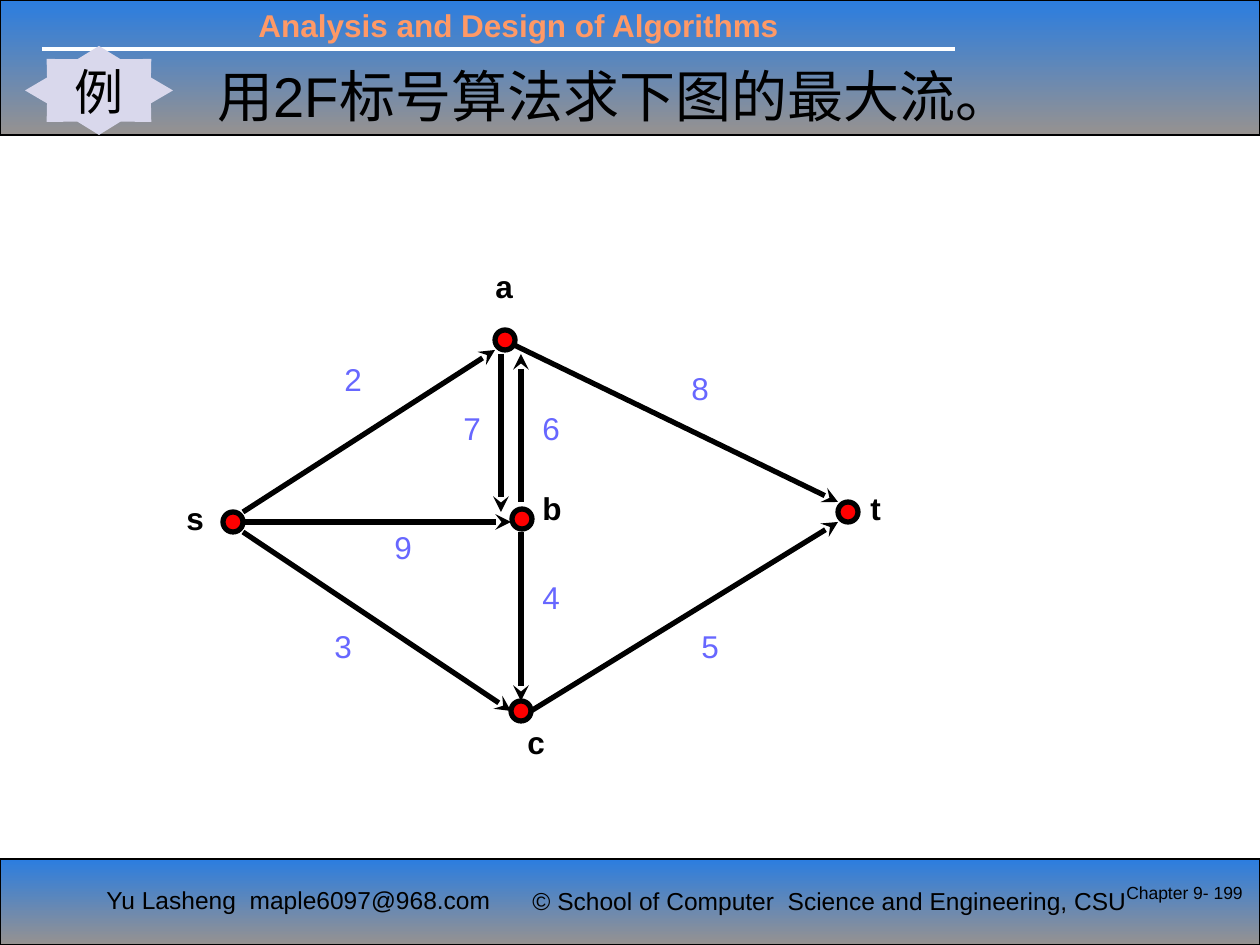
from lxml.etree import SubElement
from pptx import Presentation
from pptx.dml.color import RGBColor
from pptx.enum.shapes import MSO_CONNECTOR, MSO_SHAPE
from pptx.enum.text import MSO_ANCHOR, MSO_AUTO_SIZE, PP_ALIGN
from pptx.oxml.ns import qn
from pptx.util import Emu, Pt

BLACK = RGBColor(0x00, 0x00, 0x00)
WHITE = RGBColor(0xFF, 0xFF, 0xFF)
BLUE = RGBColor(0x2B, 0x7D, 0xE0)
GRAY = RGBColor(0x96, 0x92, 0x90)
ORANGE = RGBColor(0xFF, 0x99, 0x66)
LAVENDER = RGBColor(0xD9, 0xD8, 0xEC)
RED = RGBColor(0xFF, 0x00, 0x00)
VIOLET = RGBColor(0x67, 0x67, 0xFF)

RADIUS = 10
NODES = [
    ("a", 505, 340, 483, 261),
    ("s", 233, 522, 174, 493),
    ("b", 522, 519, 530, 483),
    ("t", 848, 512, 858, 483),
    ("c", 521, 711, 515, 717),
]
EDGES = [
    ("2", (243, 512), (495, 350), (332, 354)),
    ("8", (512, 344), (838, 502), (679, 363)),
    ("9", (243, 522), (511, 522), (382, 522)),
    ("3", (243, 532), (511, 711), (322, 621)),
    ("5", (531, 711), (838, 522), (689, 621)),
    ("4", (521, 532), (521, 701), (530, 572)),
    ("7", (501, 354), (501, 512), (451, 403)),
    ("6", (521, 502), (521, 354), (530, 403)),
]


def px(*lengths):
    return [Emu(n * 50800 // 7) for n in lengths]


class Deck:
    """Holds the text style and the current slide, and draws each kind of element."""

    font = "Arial"

    def __init__(self):
        self.prs = Presentation()
        self.prs.slide_width, self.prs.slide_height = px(1260, 945)
        self.s = self.prs.slides.add_slide(self.prs.slide_layouts[5])

    def set_text(self, sp, text, size, color=BLACK, bold=False,
                 align=PP_ALIGN.LEFT, anchor=MSO_ANCHOR.TOP, wrap=True):
        tf = sp.text_frame
        tf.text = text
        tf.word_wrap = wrap
        tf.auto_size = MSO_AUTO_SIZE.NONE
        tf.vertical_anchor = anchor
        p = tf.paragraphs[0]
        p.alignment = align
        for r in p.runs:
            r.font.name = self.font
            r.font.size = Pt(size)
            r.font.bold = bold
            r.font.color.rgb = color

    def title(self, box, text, size):
        sp = self.s.shapes.title
        sp.element.getparent().append(sp.element)
        sp.left, sp.top, sp.width, sp.height = px(*box)
        self.set_text(sp, text, size)

    def text(self, box, text, size, **style):
        self.set_text(self.s.shapes.add_textbox(*px(*box)), text, size, **style)

    def shape(self, kind, box, fill=None, line=None):
        sp = self.s.shapes.add_shape(kind, *px(*box))
        sp.shadow.inherit = False
        if fill is not None:
            sp.fill.solid()
            sp.fill.fore_color.rgb = fill
        if line is None:
            sp.line.fill.background()
        else:
            sp.line.color.rgb = BLACK
            sp.line.width = Pt(line)
        return sp

    def bar(self, box):
        sp = self.shape(MSO_SHAPE.RECTANGLE, box, line=0.75)
        sp.fill.gradient()
        sp.fill.gradient_angle = 270
        for stop, color in zip(sp.fill.gradient_stops, (BLUE, GRAY)):
            stop.color.rgb = color

    def badge(self, box, text):
        sp = self.shape(MSO_SHAPE.STAR_8_POINT, box, LAVENDER)
        sp.adjustments[0] = 0.38
        self.set_text(sp, text, 28, align=PP_ALIGN.CENTER,
                      anchor=MSO_ANCHOR.MIDDLE, wrap=False)

    def line(self, start, end, color, width, arrow=False):
        cx = self.s.shapes.add_connector(MSO_CONNECTOR.STRAIGHT, *px(*start, *end))
        cx.line.color.rgb = color
        cx.line.width = Pt(width)
        sp_pr = cx.element.spPr
        if arrow:
            SubElement(sp_pr.find(qn("a:ln")), qn("a:tailEnd"), type="stealth")
        SubElement(sp_pr, qn("a:effectLst"))

    def node(self, name, x, y, label_x, label_y):
        box = (x - RADIUS, y - RADIUS, 2 * RADIUS, 2 * RADIUS)
        self.shape(MSO_SHAPE.OVAL, box, RED, 3)
        self.text((label_x, label_y, 50, 63), name, 18, bold=True)

    def edge(self, capacity, start, end, label):
        self.line(start, end, BLACK, 3, arrow=True)
        self.text((*label, 50, 63), capacity, 18, color=VIOLET)


def main():
    d = Deck()
    d.bar((0, 0, 1260, 135))
    d.bar((0, 859, 1260, 86))
    d.line((42, 49), (955, 49), WHITE, 2.25)
    d.text((246, 0, 630, 50), "Analysis and Design of Algorithms", 18,
           color=ORANGE, bold=True)
    d.text((94, 879, 420, 50), "Yu Lasheng  maple6097@968.com", 14)
    d.text((520, 880, 660, 43),
           "© School of Computer  Science and Engineering, CSU", 14)
    d.title((205, 55, 905, 93), "用2F标号算法求下图的最大流。", 32)
    d.badge((25, 46, 148, 89), "例")
    for node in NODES:
        d.node(*node)
    for edge in EDGES:
        d.edge(*edge)
    d.text((1096, 876, 159, 63), "Chapter 9- 199", 10, align=PP_ALIGN.RIGHT)
    d.prs.save("out.pptx")


if __name__ == "__main__":
    main()
